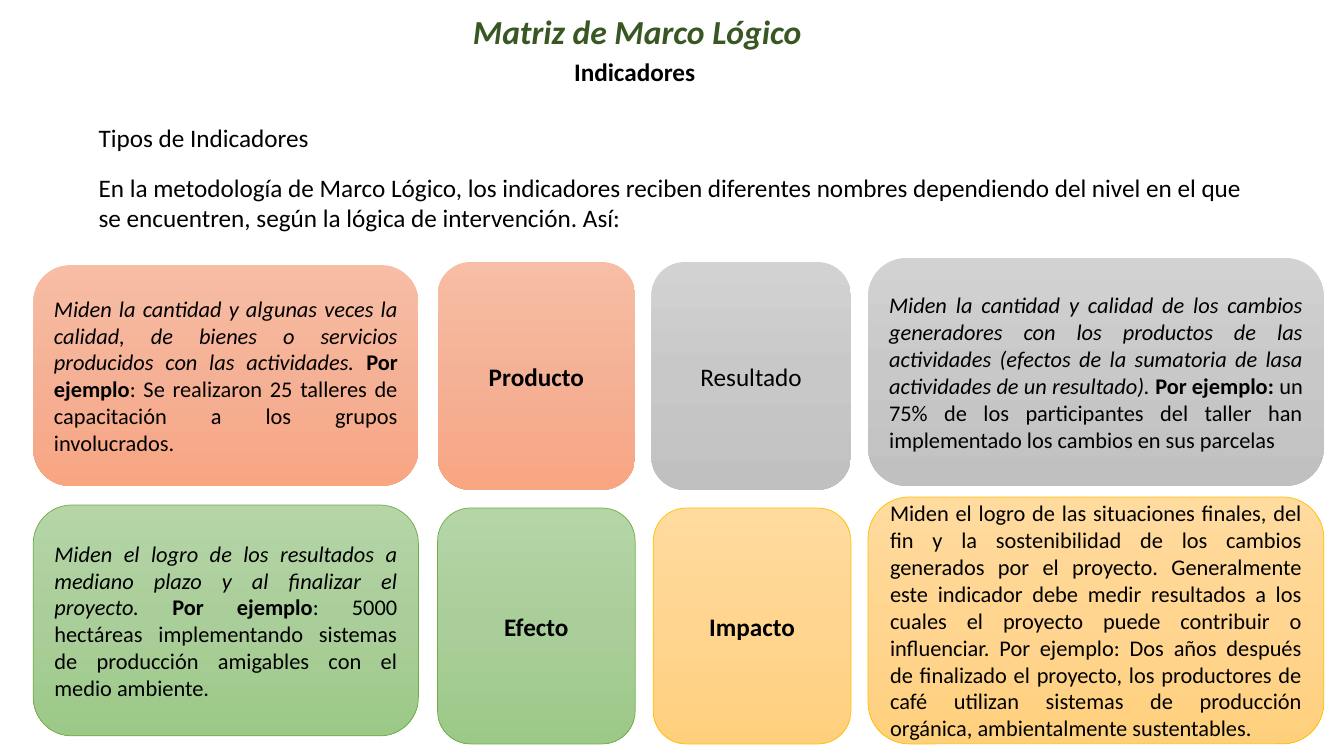
"""Build the slide on indicator types in the logical framework matrix."""
from copy import deepcopy

from pptx import Presentation
from pptx.dml.color import RGBColor
from pptx.enum.shapes import MSO_SHAPE
from pptx.enum.text import MSO_ANCHOR, PP_ALIGN
from pptx.oxml.ns import qn
from pptx.util import Inches, Pt

ROUNDED = MSO_SHAPE.ROUNDED_RECTANGLE
TOP, MIDDLE = MSO_ANCHOR.TOP, MSO_ANCHOR.MIDDLE
LEFT, CENTER, JUSTIFY = PP_ALIGN.LEFT, PP_ALIGN.CENTER, PP_ALIGN.JUSTIFY


def color(value):
    return RGBColor.from_string(value)


def write(shape, runs, size, alignment, anchor, font_color="000000"):
    frame = shape.text_frame
    frame.word_wrap = True
    frame.vertical_anchor = anchor
    margins = {"margin_left": 0.1, "margin_right": 0.1, "margin_top": 0.05, "margin_bottom": 0.05}
    for name, value in margins.items():
        setattr(frame, name, Inches(value))
    paragraph = frame.paragraphs[0]
    paragraph.alignment = alignment
    for text, style in runs:
        run = paragraph.add_run()
        run.text = text
        font = {"name": "Calibri", "size": Pt(size), "bold": "b" in style, "italic": "i" in style}
        for name, value in font.items():
            setattr(run.font, name, value)
        run.font.color.rgb = color(font_color)


presentation = Presentation()
presentation.slide_width = Inches(13.33)
presentation.slide_height = Inches(7.5)
slide = presentation.slides.add_slide(presentation.slide_layouts[5])

title = slide.shapes.title
title_place = {"left": 4.59, "top": 0.06, "width": 3.88, "height": 0.5}
for name, value in title_place.items():
    setattr(title, name, Inches(value))
write(title, [("Matriz de Marco Lógico", "bi")], 24, LEFT, TOP, "385723")

introduction = [
    ((4.7, 0.51, 3.19, 0.4), "Indicadores", "b", CENTER),
    ((0.88, 1.16, 2.71, 0.4), "Tipos de Indicadores", "", LEFT),
    ((0.88, 1.66, 11.54, 0.71),
     "En la metodología de Marco Lógico, los indicadores reciben diferentes nombres dependiendo "
     "del nivel en el que se encuentren, según la lógica de intervención. Así:", "", LEFT),
]
for place, text, style, alignment in introduction:
    text_box = slide.shapes.add_textbox(*map(Inches, place))
    write(text_box, [(text, style)], 18, alignment, TOP)

palettes = {
    "orange": (("F7BDA5", "F5B196", "F8A582"), None),
    "gray": (("D2D2D2", "C8C8C8", "C0C0C0"), None),
    "green": (("B5D5A7", "AACE9A", "9CC987"), "70AD47"),
    "yellow": (("FFDB9E", "FFD590", "FFD07C"), "FFC000"),
}
cards = [
    ((0.33, 2.63, 3.82, 2.19), "orange", 16, JUSTIFY, [
        ("Miden la cantidad y algunas veces la calidad, de bienes o servicios producidos "
         "con las actividades. ", "i"),
        ("Por ejemplo", "b"),
        (": Se realizaron 25 talleres de capacitación a los grupos involucrados.", "")]),
    ((4.34, 2.6, 1.96, 2.26), "orange", 18, CENTER, [("Producto", "b")]),
    ((6.46, 2.6, 1.98, 2.26), "gray", 18, CENTER, [("Resultado", "")]),
    ((8.61, 2.56, 4.52, 2.26), "gray", 16, JUSTIFY, [
        ("Miden la cantidad y calidad de los cambios generadores con los productos de las "
         "actividades (efectos de la sumatoria de lasa actividades de un resultado). ", "i"),
        ("Por ejemplo: ", "b"),
        ("un 75% de los participantes del taller han implementado los cambios en sus parcelas", "")]),
    ((0.33, 5.01, 3.82, 2.29), "green", 16, JUSTIFY, [
        ("Miden el logro de los resultados a mediano plazo y al finalizar el proyecto. ", "i"),
        ("Por ejemplo", "b"),
        (": 5000 hectáreas implementando sistemas de producción amigables con el medio ambiente.", "")]),
    ((4.34, 5.04, 1.96, 2.34), "green", 18, CENTER, [("Efecto", "b")]),
    ((6.48, 5.04, 1.96, 2.34), "yellow", 18, CENTER, [("Impacto", "b")]),
    ((8.61, 4.93, 4.52, 2.45), "yellow", 16, JUSTIFY, [
        ("Miden el logro de las situaciones finales, del fin y la sostenibilidad de los cambios "
         "generados por el proyecto. Generalmente este indicador debe medir resultados a los "
         "cuales el proyecto puede contribuir o influenciar. Por ejemplo: Dos años después de "
         "finalizado el proyecto, los productores de café utilizan sistemas de producción "
         "orgánica, ambientalmente sustentables.", "")]),
]
for place, palette, size, alignment, runs in cards:
    stop_colors, line_color = palettes[palette]
    card = slide.shapes.add_shape(ROUNDED, *map(Inches, place))
    card.shadow.inherit = False
    card.fill.gradient()
    card.fill.gradient_angle = 270
    stop_list = card.element.spPr.find(qn("a:gradFill")).find(qn("a:gsLst"))
    stop_list.insert(1, deepcopy(stop_list[0]))
    for stop, position, stop_color in zip(card.fill.gradient_stops, (0, 0.5, 1), stop_colors):
        stop.position = position
        stop.color.rgb = color(stop_color)
    if line_color:
        card.line.color.rgb = color(line_color)
        card.line.width = Pt(0.5)
    else:
        card.line.fill.background()
    write(card, runs, size, alignment, MIDDLE)

presentation.save("out.pptx")
